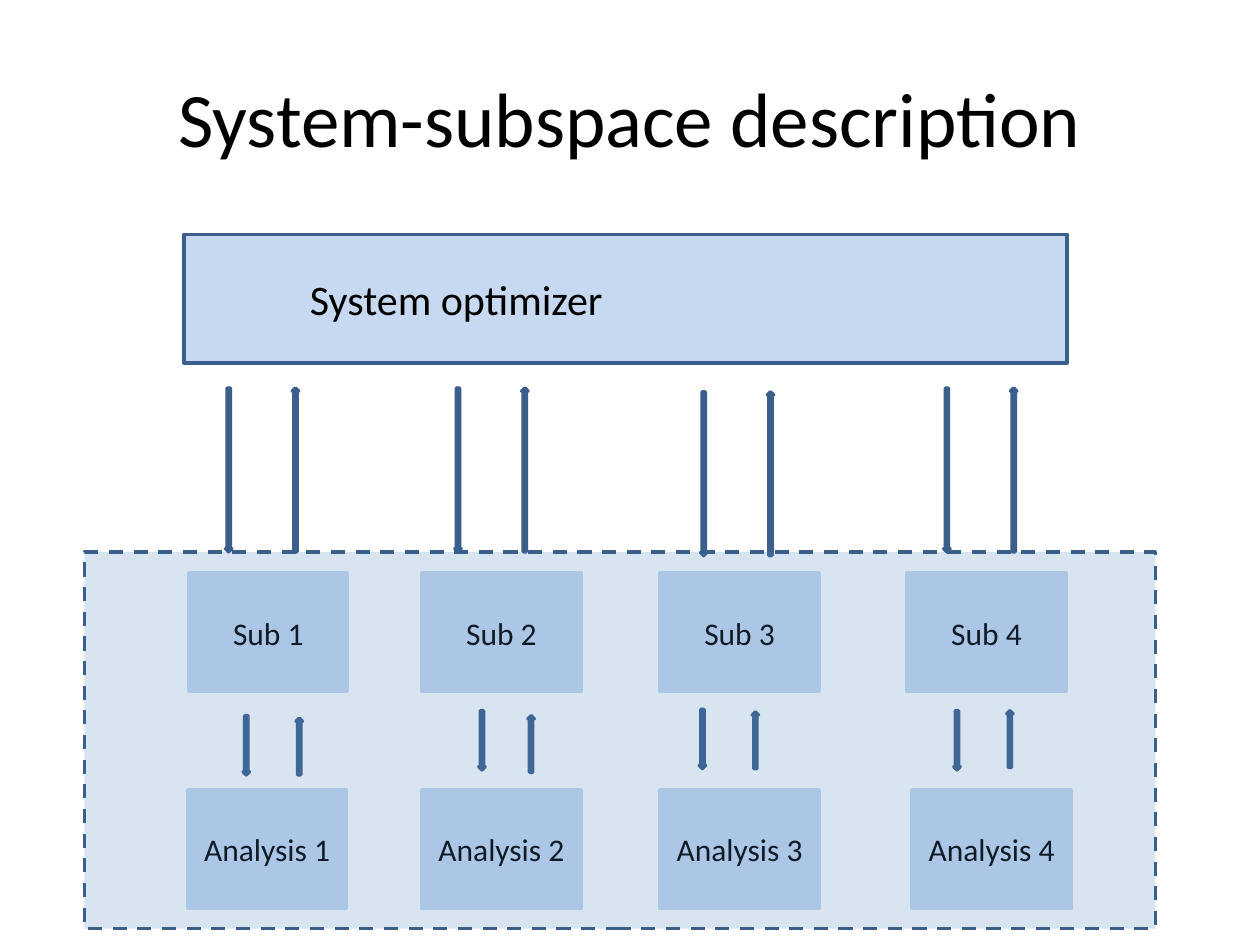
from typing import NamedTuple

from lxml import etree
from pptx import Presentation
from pptx.dml.color import RGBColor
from pptx.enum.dml import MSO_LINE
from pptx.enum.shapes import MSO_SHAPE
from pptx.enum.text import MSO_ANCHOR, PP_ALIGN
from pptx.oxml.ns import qn
from pptx.util import Inches, Pt

RECT, DOWN, UP = MSO_SHAPE.RECTANGLE, MSO_SHAPE.DOWN_ARROW, MSO_SHAPE.UP_ARROW
CENTER, LEFT = PP_ALIGN.CENTER, PP_ALIGN.LEFT
MIDDLE, DASH = MSO_ANCHOR.MIDDLE, MSO_LINE.DASH

COLORS = {"text": "000000", "box": "C6D9F1", "accent": "4F81BD", "edge": "3A5F8C"}
FONT = "Calibri"
BOX_W, BOX_H = 1.26, 0.94
SUB_TOP, ANALYSIS_TOP = 4.55, 6.27
ARROW_W, LONG_H, DOWN_H, UP_H = 0.05, 1.3, 0.47, 0.45
PAIR_GAP = 0.53  # between the two long arrows of a column


class Box(NamedTuple):
    left: float
    top: float
    width: float
    height: float


class Column(NamedTuple):
    """Left edges of a column's boxes, and (left, top) of its arrows."""
    sub_left: float
    analysis_left: float
    long_down: tuple[float, float]
    short_down: tuple[float, float]
    short_up: tuple[float, float]


COLUMNS = [
    Column(1.5, 1.49, (1.79, 3.08), (1.93, 5.68), (2.35, 5.7)),
    Column(3.35, 3.35, (3.61, 3.08), (3.8, 5.64), (4.19, 5.68)),
    Column(5.24, 5.24, (5.56, 3.11), (5.55, 5.63), (5.97, 5.65)),
    Column(7.2, 7.24, (7.49, 3.08), (7.57, 5.64), (7.99, 5.64)),
]


def rgb(name: str) -> RGBColor:
    return RGBColor.from_string(COLORS[name])


def add_shape(slide, kind, box: Box, fill: str, line: str):
    s = slide.shapes.add_shape(kind, *map(Inches, box))
    s.shadow.inherit = False
    s.fill.solid()
    s.fill.fore_color.rgb = rgb(fill)
    s.line.color.rgb = rgb(line)
    s.line.width = Pt(2)
    return s


def write_text(s, text: str, size: int, align=CENTER, indent: float = 0.1) -> None:
    tf = s.text_frame
    frame_format = {"word_wrap": True, "vertical_anchor": MIDDLE,
                    "margin_left": Inches(indent)}
    for key, value in frame_format.items():
        setattr(tf, key, value)
    p = tf.paragraphs[0]
    p.alignment = align
    r = p.add_run()
    r.text = text
    for key, value in {"name": FONT, "size": Pt(size)}.items():
        setattr(r.font, key, value)
    r.font.color.rgb = rgb("text")


def add_node(slide, left: float, top: float, text: str) -> None:
    s = add_shape(slide, RECT, Box(left, top, BOX_W, BOX_H), "box", "box")
    write_text(s, text, 18)


def add_arrow(slide, kind, left: float, top: float, height: float) -> None:
    add_shape(slide, kind, Box(left, top, ARROW_W, height), "accent", "edge")


def add_column(slide, number: int, col: Column) -> None:
    add_node(slide, col.sub_left, SUB_TOP, f"Sub {number}")
    add_node(slide, col.analysis_left, ANALYSIS_TOP, f"Analysis {number}")
    left, top = col.long_down
    add_arrow(slide, DOWN, left, top, LONG_H)
    add_arrow(slide, UP, left + PAIR_GAP, top, LONG_H)
    add_arrow(slide, DOWN, *col.short_down, DOWN_H)
    add_arrow(slide, UP, *col.short_up, UP_H)


def add_subspace_frame(slide) -> None:
    """Lay a translucent dashed frame over all the subspaces."""
    s = add_shape(slide, RECT, Box(0.67, 4.38, 8.5, 2.99), "accent", "edge")
    s.line.dash_style = DASH
    color = s.fill._xPr.find(qn("a:solidFill"))[0]
    etree.SubElement(color, qn("a:alpha")).set("val", "21000")


def main() -> None:
    prs = Presentation()
    prs.slide_width, prs.slide_height = Inches(10), Inches(7.5)
    slide = prs.slides.add_slide(prs.slide_layouts[6])

    title = slide.shapes.add_textbox(*map(Inches, Box(0.5, 0.3, 9, 1.25)))
    write_text(title, "System-subspace description", 44)
    optimizer = add_shape(slide, RECT, Box(1.46, 1.86, 7.01, 1.02), "box", "edge")
    write_text(optimizer, "System optimizer", 24, LEFT, indent=1)

    for number, col in enumerate(COLUMNS, start=1):
        add_column(slide, number, col)
    add_subspace_frame(slide)
    prs.save("out.pptx")


if __name__ == "__main__":
    main()
